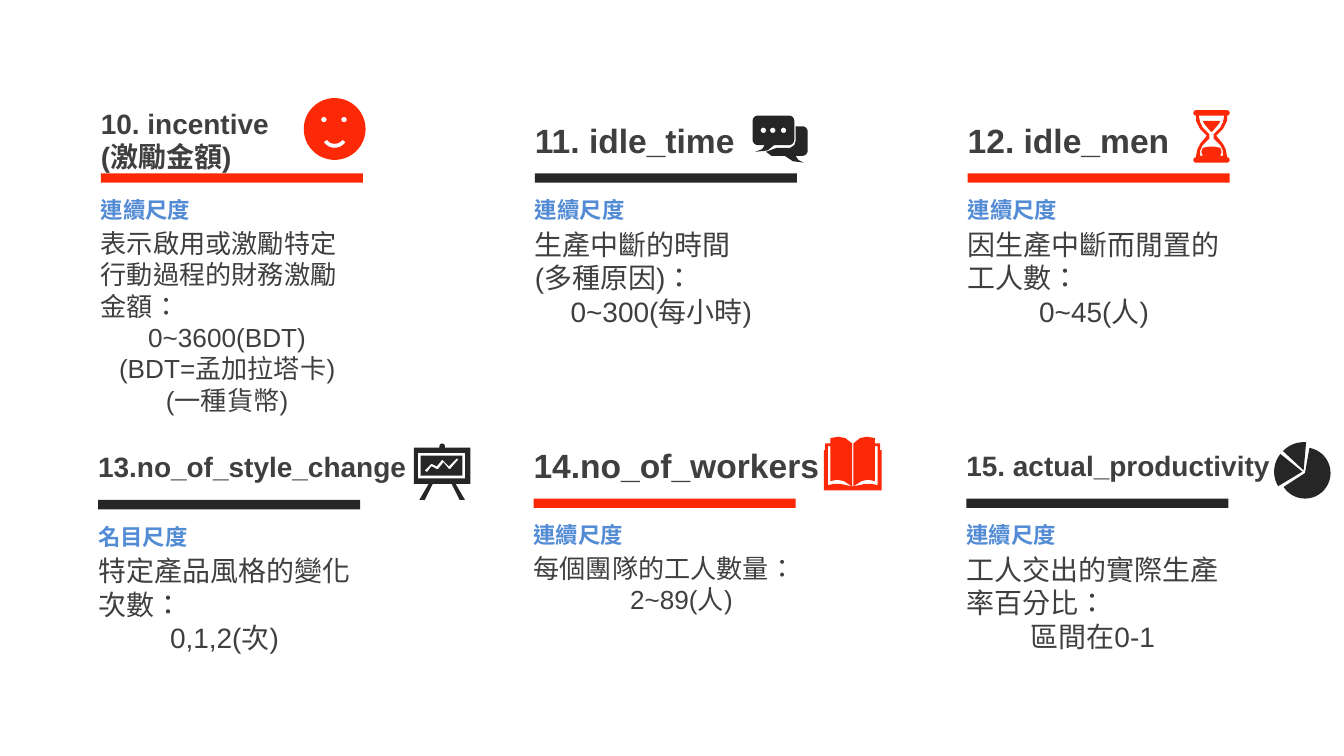
import math
from dataclasses import dataclass

import pptx
import pptx.dml.color
import pptx.enum.lang
import pptx.enum.shapes
import pptx.enum.text
import pptx.util

Inches = pptx.util.Inches
Pt = pptx.util.Pt
RGBColor = pptx.dml.color.RGBColor
Align = pptx.enum.text.PP_ALIGN
Anchor = pptx.enum.text.MSO_ANCHOR

RED = RGBColor(0xFD, 0x29, 0x06)
BLACK = RGBColor(0x26, 0x26, 0x26)
GRAY = RGBColor(0x3F, 0x3F, 0x3F)
BLUE = RGBColor(0x53, 0x8C, 0xD5)

WIDTH = 1.95
PAD = (0, 0.04, 0.07, 0.04)

Points = list[tuple[float, float]]


@dataclass
class Card:
    left: float
    bar: float
    tint: RGBColor
    head: list[str]
    head_size: int
    head_width: float
    scale: str
    lead: list[str]
    range: list[str]
    size: int = 15
    width: float = WIDTH
    height: float = 0.83


@dataclass
class Icon:
    tint: RGBColor
    paths: list[Points]


CARDS = [
    Card(0.75, 1.29, RED, ["10. incentive", "(激勵金額)"], 15, 1.95, "連續尺度",
         ["表示啟用或激勵特定行動過程的財務激勵金額："],
         ["0~3600(BDT)", "(BDT=孟加拉塔卡)", "(一種貨幣)"], size=14, height=1.21),
    Card(3.98, 1.29, BLACK, ["11. idle_time"], 18, 1.96, "連續尺度",
         ["生產中斷的時間", "(多種原因)："], ["0~300(每小時)"]),
    Card(7.2, 1.29, RED, ["12. idle_men"], 18, 1.61, "連續尺度",
         ["因生產中斷而閒置的工人數："], ["0~45(人)"]),
    Card(3.97, 3.71, RED, ["14.no_of_workers"], 18, 2.14, "連續尺度",
         ["每個團隊的工人數量："], ["2~89(人)"], size=14, width=2.27, height=0.78),
    Card(7.19, 3.71, BLACK, ["15. actual_productivity"], 15, 2.36, "連續尺度",
         ["工人交出的實際生產率百分比："], ["區間在0-1"]),
    Card(0.73, 3.72, BLACK, ["13.no_of_style_change"], 15, 2.4, "名目尺度",
         ["特定產品風格的變化次數："], ["0,1,2(次)"]),
]


# Outline helpers, all in inches
def arc(x: float, y: float, radius: float, start: float = 0, end: float = 360) -> Points:
    steps = max(4, round(abs(end - start) / 8))
    turns = [math.radians(start + (end - start) * i / steps) for i in range(steps + 1)]
    return [(x + radius * math.cos(t), y + radius * math.sin(t)) for t in turns]


def box(left: float, top: float, right: float, bottom: float) -> Points:
    return [(left, top), (right, top), (right, bottom), (left, bottom)]


def mirror(half: Points, axis: float) -> Points:
    return half + [(2 * axis - x, y) for x, y in reversed(half)]


# Icons
face = Icon(RED, [
    arc(2.49, 0.96, 0.23),
    arc(2.41, 0.89, 0.02),
    arc(2.56, 0.89, 0.02),
    arc(2.49, 1, 0.07, 35, 145) + arc(2.49, 1, 0.1, 145, 35),
])

chat = Icon(BLACK, [
    # Front bubble with its dots
    arc(5.64, 0.9, 0.04, 180, 270) + arc(5.87, 0.9, 0.04, 270, 360)
    + arc(5.87, 1.04, 0.04, 0, 90)
    + [(5.76, 1.08), (5.71, 1.12), (5.62, 1.13), (5.67, 1.11), (5.69, 1.08)]
    + arc(5.64, 1.04, 0.04, 90, 180),
    *[arc(x, 0.97, 0.02) for x in (5.68, 5.75, 5.83)],
    # Back bubble
    [(5.92, 0.94)] + arc(5.97, 0.98, 0.04, 270, 360) + arc(5.97, 1.12, 0.04, 0, 90)
    + [(5.92, 1.16), (5.94, 1.19), (5.98, 1.21), (5.9, 1.2), (5.84, 1.16),
       (5.74, 1.16), (5.7, 1.13), (5.78, 1.1), (5.88, 1.1), (5.91, 1.08), (5.92, 1.05)],
])

MID = (8.88 + 9.15) / 2
glass = Icon(RED, [
    # Frame
    mirror(arc(8.9, 0.84, 0.02, 270, 90)
           + [(8.9, 0.9), (8.93, 0.96), (8.98, 1.01), (8.93, 1.07), (8.91, 1.11), (8.9, 1.16)]
           + arc(8.9, 1.19, 0.02, 270, 90), MID),
    # Hollow
    mirror([(8.92, 0.86), (8.93, 0.91), (8.95, 0.95), (9, 1), (9, 1.03),
            (8.95, 1.08), (8.93, 1.12), (8.93, 1.16)], MID),
    # Sand
    mirror([(8.95, 0.9), (8.96, 0.92), (9.01, 0.98)], MID),
    mirror([(9, 1.09), (8.95, 1.1), (8.94, 1.13), (8.95, 1.16)], MID),
])

AXIS = 3.29
board = Icon(BLACK, [
    mirror(arc(AXIS, 3.32, 0.02, 270, 180)
           + [(3.27, 3.33), (3.08, 3.33), (3.08, 3.6), (3.19, 3.6),
              (3.12, 3.72), (3.16, 3.72), (3.22, 3.6)], AXIS),
    box(3.11, 3.37, 3.46, 3.56),
    box(3.13, 3.39, 3.44, 3.54),
    # Trend line
    [(3.16, 3.5), (3.21, 3.45), (3.25, 3.47), (3.29, 3.42), (3.34, 3.47), (3.4, 3.41),
     (3.41, 3.42), (3.35, 3.49), (3.34, 3.49), (3.3, 3.44), (3.26, 3.49), (3.25, 3.49),
     (3.21, 3.47), (3.18, 3.51), (3.17, 3.51)],
])

SPINE = (6.34 + 6.35) / 2
book = Icon(RED, [
    mirror([(6.35, 3.62), (6.44, 3.6), (6.48, 3.6), (6.53, 3.61), (6.53, 3.32),
            (6.51, 3.32), (6.51, 3.58), (6.46, 3.57), (6.41, 3.58), (6.35, 3.62),
            (6.35, 3.3), (6.4, 3.26), (6.45, 3.25), (6.51, 3.26), (6.51, 3.3),
            (6.55, 3.3), (6.55, 3.35), (6.56, 3.35), (6.56, 3.65)], SPINE),
])

pie = Icon(BLACK, [
    [(x, y)] + arc(x, y, radius, start, end)
    for x, y, radius, start, end in [
        (9.71, 3.52, 0.19, -80, 147),
        (9.69, 3.51, 0.21, 149, 219),
        (9.7, 3.5, 0.21, 223, 275),
    ]
])


# Drawing
def paint(shape, tint: RGBColor) -> None:
    shape.shadow.inherit = False
    shape.fill.solid()
    shape.fill.fore_color.rgb = tint
    shape.line.fill.background()


def write(shapes, place: tuple, lines: list[str], size: int, tint: RGBColor,
          bold: bool = False, pad: tuple = PAD, anchor=Anchor.MIDDLE, left: int = 9) -> None:
    """Add a text box whose lines after the first `left` ones are centred."""
    frame = shapes.add_textbox(*map(Inches, place)).text_frame
    frame.word_wrap = True
    frame.auto_size = pptx.enum.text.MSO_AUTO_SIZE.SHAPE_TO_FIT_TEXT
    frame.vertical_anchor = anchor
    (frame.margin_left, frame.margin_top,
     frame.margin_right, frame.margin_bottom) = map(Inches, pad)
    for i, line in enumerate(lines):
        para = frame.add_paragraph() if i else frame.paragraphs[0]
        para.alignment = Align.LEFT if i < left else Align.CENTER
        run = para.add_run()
        run.text = line
        run.font.name = "Arial"
        run.font.size = Pt(size)
        run.font.bold = bold
        run.font.color.rgb = tint
        run.font.language_id = pptx.enum.lang.MSO_LANGUAGE_ID.TRADITIONAL_CHINESE


def draw_card(slide, card: Card) -> None:
    shapes = slide.shapes.add_group_shape().shapes
    bar = shapes.add_shape(pptx.enum.shapes.MSO_SHAPE.RECTANGLE, Inches(card.left),
                           Inches(card.bar), Inches(WIDTH), Inches(0.07))
    paint(bar, card.tint)
    tall = len(card.head) * card.head_size / 60
    write(shapes, (card.left, card.bar - 0.25 - tall / 2, card.head_width, tall),
          card.head, card.head_size, GRAY, bold=True, pad=(0, 0, 0, 0))
    write(shapes, (card.left, card.bar + 0.13, WIDTH, 0.28), [card.scale], 12, BLUE, bold=True)
    write(shapes, (card.left, card.bar + 0.36, card.width, card.height),
          card.lead + card.range, card.size, GRAY, anchor=Anchor.TOP, left=len(card.lead))


def draw_icon(slide, icon: Icon) -> None:
    pen = None
    for path in icon.paths:
        first, *rest = [(Inches(x), Inches(y)) for x, y in path]
        if pen is None:
            pen = slide.shapes.build_freeform(*first)
        else:
            pen.move_to(*first)
        pen.add_line_segments(rest, close=True)
    paint(pen.convert_to_shape(), icon.tint)


def main() -> None:
    deck = pptx.Presentation()
    deck.slide_width, deck.slide_height = Inches(10), Inches(10 * 9 / 16)
    slide = deck.slides.add_slide(deck.slide_layouts[6])
    for card in CARDS:
        draw_card(slide, card)
    for icon in (chat, pie, board, glass, face, book):
        draw_icon(slide, icon)
    deck.save("out.pptx")


if __name__ == "__main__":
    main()
